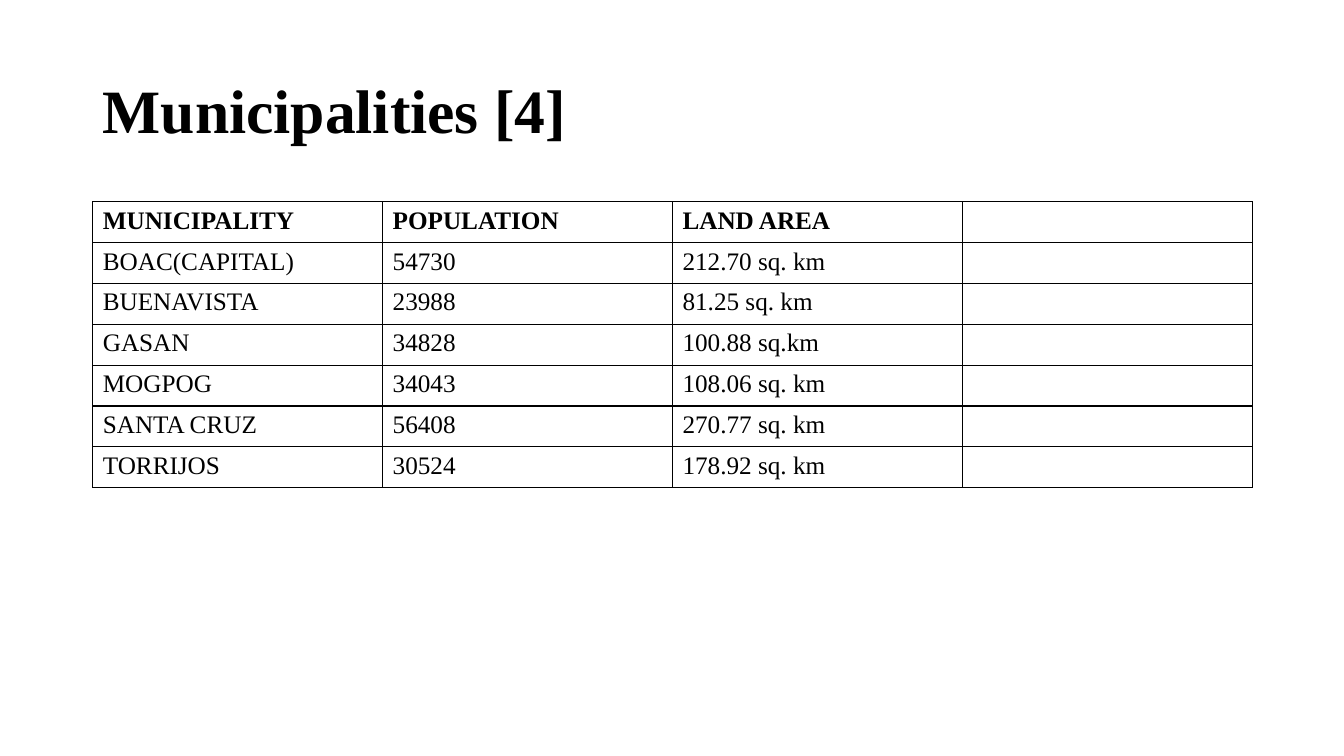
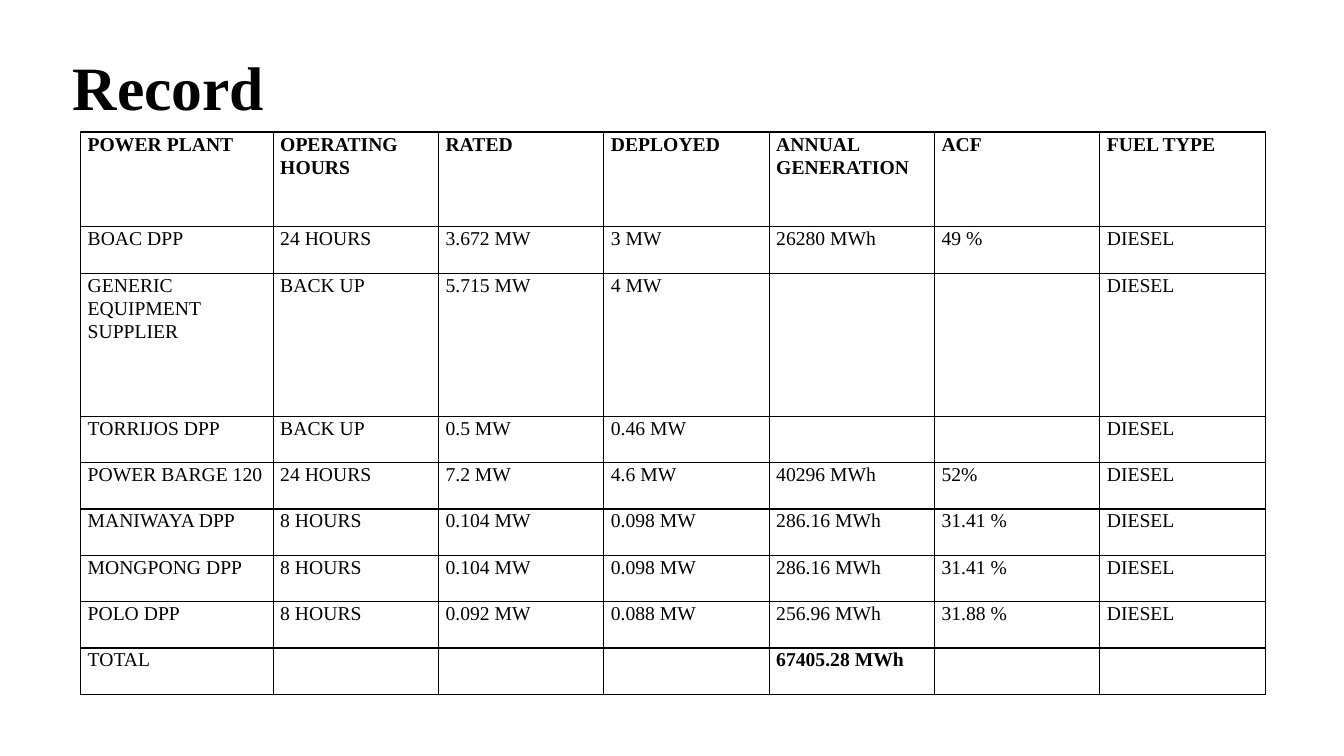
from dataclasses import dataclass
from lxml.etree import SubElement as Sub
from pptx import Presentation
from pptx.dml.color import RGBColor as RGB
from pptx.enum.text import MSO_ANCHOR as Anchor, MSO_AUTO_SIZE as Auto, PP_ALIGN as Align
from pptx.oxml.ns import qn
from pptx.util import Inches, Pt


@dataclass(frozen=True)
class Theme:
    ink: str = "000000"
    paper: str = "FFFFFF"
    font: str = "Times New Roman"
    title: int = 44
    large: int = 18
    small: int = 14
    rule: float = 1


look = Theme()


def add_run(par, text, size, bold):
    run = par.add_run()
    run.text = text
    font = run.font
    font.name, font.size, font.bold = look.font, Pt(size), bold
    font.color.rgb = RGB.from_string(look.ink)


def add_edges(cell):
    props = cell._tc.get_or_add_tcPr()
    for side in "LRTB":
        line = Sub(props, qn("a:ln" + side), w=str(Pt(look.rule)))
        Sub(Sub(line, qn("a:solidFill")), qn("a:srgbClr"), val=look.ink)


# Content: rows of text, the first one a header
towns = [
    ("MUNICIPALITY", "POPULATION", "LAND AREA", ""),
    ("BOAC(CAPITAL)", "54730", "212.70 sq. km", ""),
    ("BUENAVISTA", "23988", "81.25 sq. km", ""),
    ("GASAN", "34828", "100.88 sq.km", ""),
    ("MOGPOG", "34043", "108.06 sq. km", ""),
    ("SANTA CRUZ", "56408", "270.77 sq. km", ""),
    ("TORRIJOS", "30524", "178.92 sq. km", ""),
]
plants = [
    ("POWER PLANT", "OPERATING HOURS", "RATED", "DEPLOYED",
     "ANNUAL GENERATION", "ACF", "FUEL TYPE"),
    ("BOAC DPP", "24 HOURS", "3.672 MW", "3 MW", "26280 MWh", "49 %", "DIESEL"),
    ("GENERIC EQUIPMENT SUPPLIER", "BACK UP", "5.715 MW", "4 MW", "", "", "DIESEL"),
    ("TORRIJOS DPP", "BACK UP", "0.5 MW", "0.46 MW", "", "", "DIESEL"),
    ("POWER BARGE 120", "24 HOURS", "7.2 MW", "4.6 MW", "40296 MWh", "52%", "DIESEL"),
    ("MANIWAYA DPP", "8 HOURS", "0.104 MW", "0.098 MW", "286.16 MWh", "31.41 %", "DIESEL"),
    ("MONGPONG DPP", "8 HOURS", "0.104 MW", "0.098 MW", "286.16 MWh", "31.41 %", "DIESEL"),
    ("POLO DPP", "8 HOURS", "0.092 MW", "0.088 MW", "256.96 MWh", "31.88 %", "DIESEL"),
    ("TOTAL", "", "", "", "67405.28 MWh", "", ""),
]

# Each page: title, title box, rows, table box, columns, heights,
# type size, cell insets (side, top), line spacing, bold cells below the header
pages = [
    ("Municipalities [4]", (0.92, 0.4, 11.5, 1.45),
     towns, (0.92, 2, 11.5, 2.84), [11.5 / 4] * 4, [2.84 / 7] * 7,
     look.large, (0.1, 0.05), 1, set()),
    ("Record", (0.62, 0.39, 11.8, 1.02),
     plants, (0.8, 1.31, 11.76, 5.57), [1.91] + [1.64] * 6,
     [0.94, 0.46, 1.42] + [0.46] * 6,
     look.small, (0.07, 0), 1.07, {(8, 4)}),
]

deck = Presentation()
deck.slide_width, deck.slide_height = Inches(13.33), Inches(7.5)

for name, top, data, box, cols, highs, size, inset, lead, strong in pages:
    slide = deck.slides.add_slide(deck.slide_layouts[5])

    # Title
    title = slide.shapes.title
    title.left, title.top, title.width, title.height = map(Inches, top)
    frame = title.text_frame
    frame.auto_size = Auto.NONE
    frame.vertical_anchor = Anchor.MIDDLE
    par = frame.paragraphs[0]
    par.alignment, par.line_spacing = Align.LEFT, 0.9
    add_run(par, name, look.title, True)

    # Table grid
    table = slide.shapes.add_table(len(highs), len(cols), *map(Inches, box)).table
    table.horz_banding = False
    for col, width in zip(table.columns, cols):
        col.width = Inches(width)
    for row, high in zip(table.rows, highs):
        row.height = Inches(high)

    # Cells
    side, edge = map(Inches, inset)
    for y, line in enumerate(data):
        for x, text in enumerate(line):
            cell = table.cell(y, x)
            add_edges(cell)
            cell.fill.solid()
            cell.fill.fore_color.rgb = RGB.from_string(look.paper)
            cell.margin_left = cell.margin_right = side
            cell.margin_top = cell.margin_bottom = edge
            par = cell.text_frame.paragraphs[0]
            par.line_spacing = lead
            par.font.size = Pt(size)
            if text:
                add_run(par, text, size, y == 0 or (y, x) in strong)

deck.save("out.pptx")
